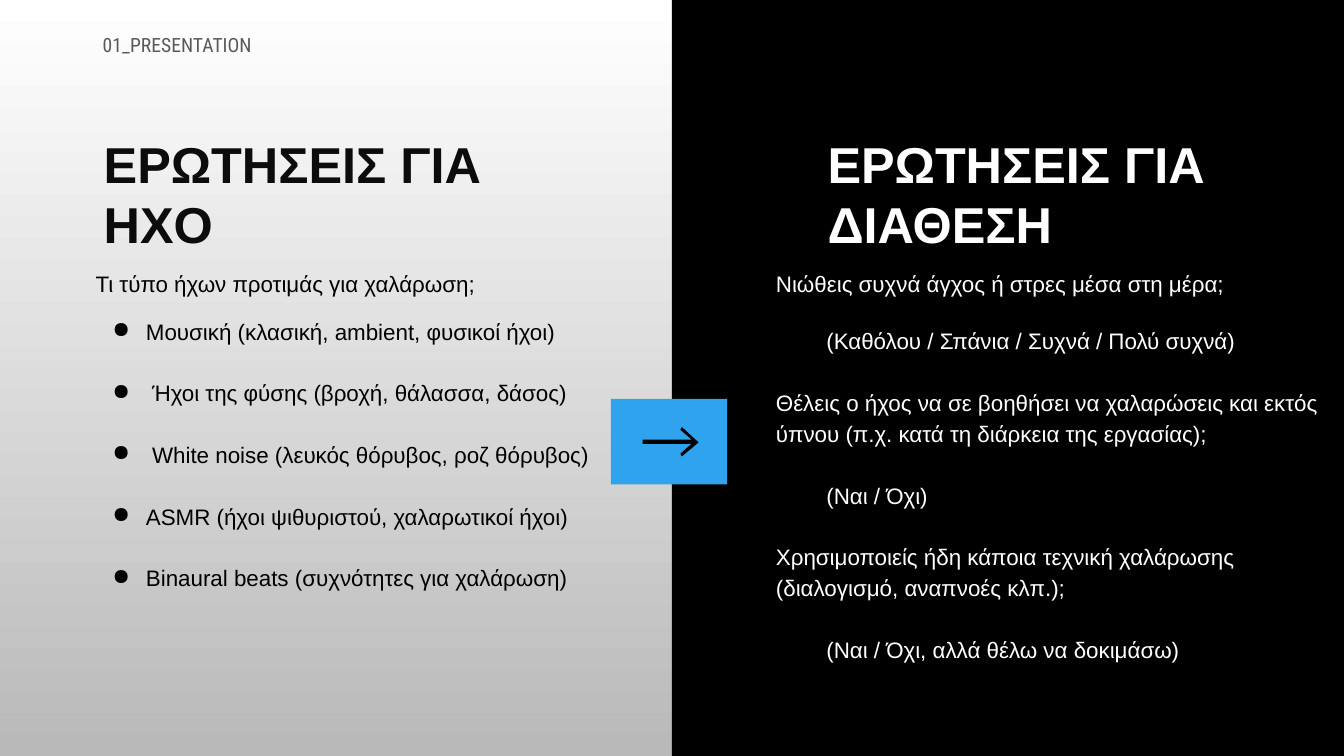
from lxml import etree
from pptx import Presentation
from pptx import util as u
from pptx.dml.color import RGBColor
from pptx.enum import shapes, text
from pptx.oxml import ns

BLACK = RGBColor(0x00, 0x00, 0x00)
WHITE = RGBColor(0xFF, 0xFF, 0xFF)
SILVER = RGBColor(0xB9, 0xB9, 0xB9)
INK = RGBColor(0x0C, 0x0C, 0x0C)
GREY = RGBColor(0x59, 0x59, 0x59)
BLUE = RGBColor(0x2F, 0xA3, 0xEE)

presentation = Presentation()
presentation.slide_width = u.Pt(960)
presentation.slide_height = u.Pt(540)
slide = presentation.slides.add_slide(presentation.slide_layouts[6])

background = slide.background.fill
background.gradient()
background.gradient_angle = 270
for stop, color in zip(background.gradient_stops, (WHITE, SILVER)):
    stop.color.rgb = color


def add_text_box(left, top, width, height):
    frame = slide.shapes.add_textbox(
        u.Pt(left), u.Pt(top), u.Pt(width), u.Pt(height)).text_frame
    frame.word_wrap = True
    return frame


def add_text(paragraph, words, size, color, font="Arial", bold=False):
    run = paragraph.add_run()
    run.text = words
    run.font.name = font
    run.font.size = u.Pt(size)
    run.font.bold = bold
    run.font.color.rgb = color


for left, top, width, height, color in (
        (480, 0, 480, 540, BLACK), (436.4, 285, 83, 61, BLUE)):
    panel = slide.shapes.add_shape(
        shapes.MSO_SHAPE.RECTANGLE, u.Pt(left), u.Pt(top), u.Pt(width), u.Pt(height))
    panel.shadow.inherit = False
    panel.fill.solid()
    panel.fill.fore_color.rgb = color
    panel.line.fill.background()

arrow_points = [
    (487.2, 305.2), (485.6, 307), (494, 314.4), (458.7, 314.4), (458.7, 316.6),
    (494, 316.6), (485.6, 324), (487.2, 325.8), (498.6, 315.5)]
builder = slide.shapes.build_freeform(*arrow_points[0], scale=u.Pt(1))
builder.add_line_segments(arrow_points[1:], close=True)
arrow = builder.convert_to_shape()
arrow.shadow.inherit = False
arrow.fill.solid()
arrow.fill.fore_color.rgb = BLACK
arrow.line.fill.background()

label = add_text_box(66.3, 18.7, 240, 29)
label.vertical_anchor = text.MSO_ANCHOR.MIDDLE
label.paragraphs[0].line_spacing = 0.9
add_text(label.paragraphs[0], "01_PRESENTATION", 14, GREY, "Roboto Condensed")

for left, heading, color in (
        (67, "ΕΡΩΤΗΣΕΙΣ ΓΙΑ ΗΧΟ", INK), (584, "ΕΡΩΤΗΣΕΙΣ ΓΙΑ ΔΙΑΘΕΣΗ", WHITE)):
    title = add_text_box(left, 91.4, 295, 94.5)
    add_text(title.paragraphs[0], heading, 36, color, bold=True)

sound_questions = [
    ("Τι τύπο ήχων προτιμάς για χαλάρωση;", 0, 0, 0),
    ("Μουσική (κλασική, ambient, φυσικοί ήχοι)", 36, -24, 12),
    ("Ήχοι της φύσης (βροχή, θάλασσα, δάσος)", 40.4, -28.4, 22),
    ("White noise (λευκός θόρυβος, ροζ θόρυβος)", 40.4, -28.4, 22),
    ("ASMR (ήχοι ψιθυριστού, χαλαρωτικοί ήχοι)", 36, -24, 22),
    ("Binaural beats (συχνότητες για χαλάρωση)", 36, -24, 22),
]
mood_questions = [
    ("Νιώθεις συχνά άγχος ή στρες μέσα στη μέρα;", 36, 0, 0),
    ("(Καθόλου / Σπάνια / Συχνά / Πολύ συχνά)", 72, 0, 19),
    ("Θέλεις ο ήχος να σε βοηθήσει να χαλαρώσεις και εκτός ύπνου "
     "(π.χ. κατά τη διάρκεια της εργασίας);", 36, 0, 22),
    ("(Ναι / Όχι)", 72, 0, 22),
    ("Χρησιμοποιείς ήδη κάποια τεχνική χαλάρωσης "
     "(διαλογισμό, αναπνοές κλπ.);", 36, 0, 22),
    ("(Ναι / Όχι, αλλά θέλω να δοκιμάσω)", 72, 0, 22),
]
for left, width, height, color, questions in (
        (61.2, 413, 274, BLACK, sound_questions),
        (511.2, 441, 351, WHITE, mood_questions)):
    frame = add_text_box(left, 186.5, width, height)
    for index, (words, margin, indent, gap) in enumerate(questions):
        paragraph = frame.add_paragraph() if index else frame.paragraphs[0]
        paragraph.line_spacing = 1.15
        paragraph.space_before = u.Pt(gap)
        properties = paragraph._p.get_or_add_pPr()
        properties.set("marL", str(u.Pt(margin)))
        properties.set("indent", str(u.Pt(indent)))
        if indent:
            bullet = etree.SubElement(properties, ns.qn("a:buChar"))
            bullet.set("char", "●")
        add_text(paragraph, words, 16, color)

presentation.save("out.pptx")
